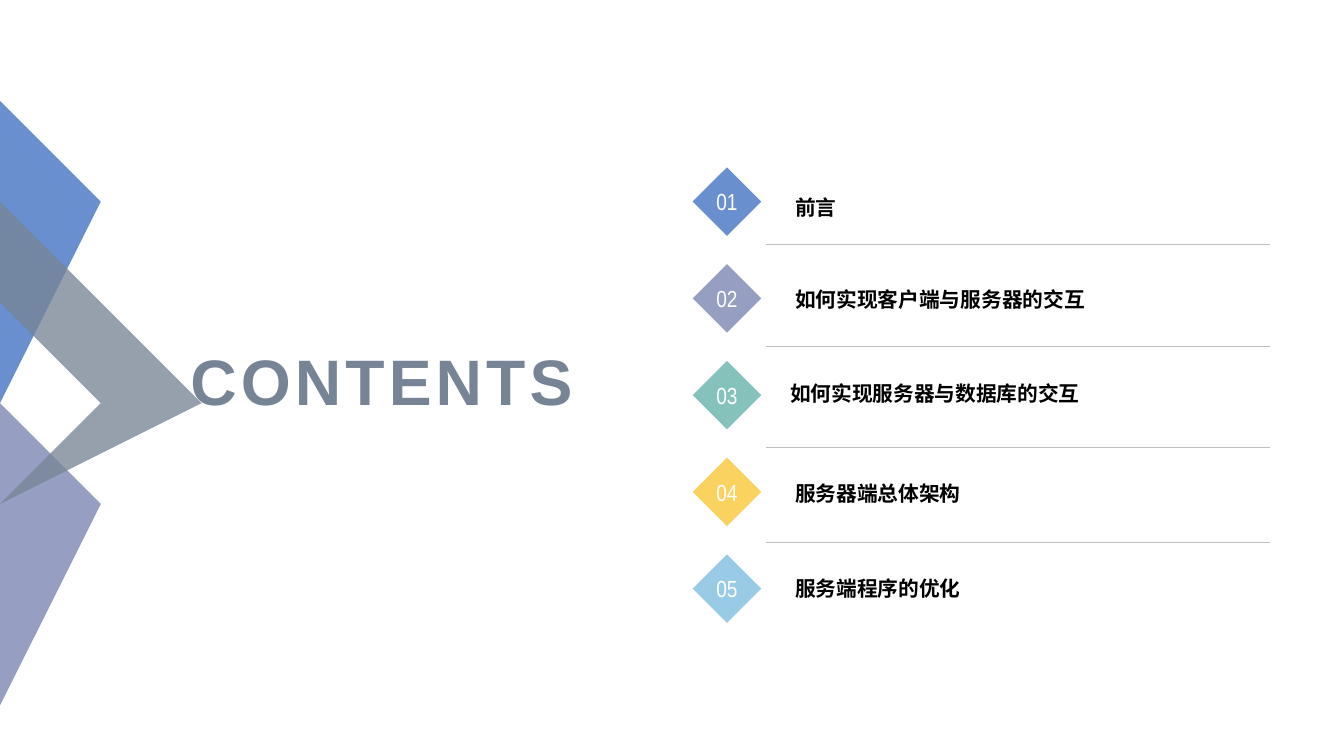
from lxml import etree
from pptx import Presentation
from pptx import util as u
from pptx.dml.color import RGBColor
from pptx.enum import shapes, text
from pptx.oxml.ns import qn

COLORS = {
    "blue": "698FCE", "violet": "969EC2", "teal": "85C2BC", "yellow": "FAD25F",
    "sky": "99CAE6", "slate": "778495", "rule": "BFBFBF",
    "white": "FFFFFF", "black": "000000",
}


class Deck:
    def __init__(self):
        self.prs = Presentation()
        self.prs.slide_width = u.Inches(13.33)
        self.prs.slide_height = u.Inches(7.5)
        self.s = self.prs.slides.add_slide(self.prs.slide_layouts[6])

    def color(self, name):
        return RGBColor.from_string(COLORS[name])

    def paint(self, sp, color, alpha=None):
        sp.shadow.inherit = False
        sp.fill.solid()
        sp.fill.fore_color.rgb = self.color(color)
        sp.line.fill.background()
        if alpha:
            clr = sp._element.spPr.find(qn("a:solidFill"))[0]
            etree.SubElement(clr, qn("a:alpha")).set("val", str(alpha * 1000))

    def add_text(self, sp, words, size, color, font, align, anchor, bold=False, spacing=None):
        tf = sp.text_frame
        tf.vertical_anchor = anchor
        p = tf.paragraphs[0]
        p.alignment = align
        r = p.add_run()
        r.text = words
        r.font.size = u.Pt(size)
        r.font.name = font
        r.font.bold = bold
        r.font.color.rgb = self.color(color)
        if spacing:
            r._r.get_or_add_rPr().set("spc", str(spacing * 100))
        return tf

    def polygon(self, points, color, alpha=None):
        fb = self.s.shapes.build_freeform(*points[0], scale=float(u.Inches(1)))
        fb.add_line_segments(points[1:], close=True)
        self.paint(fb.convert_to_shape(), color, alpha)

    def diamond(self, x, y, size, color, number):
        sp = self.s.shapes.add_shape(
            shapes.MSO_SHAPE.DIAMOND, u.Inches(x), u.Inches(y), u.Inches(size), u.Inches(size))
        self.paint(sp, color)
        tf = self.add_text(sp, number, 16.6, "white", "Arial Narrow",
                           text.PP_ALIGN.CENTER, text.MSO_ANCHOR.MIDDLE)
        tf.word_wrap = False

    def label(self, x, y, w, h, words, size, color, align, anchor, spacing=None):
        sp = self.s.shapes.add_textbox(u.Inches(x), u.Inches(y), u.Inches(w), u.Inches(h))
        tf = self.add_text(sp, words, size, color, "Arial", align, anchor, True, spacing)
        tf.word_wrap = True

    def rule(self, x1, x2, y):
        c = self.s.shapes.add_connector(
            shapes.MSO_CONNECTOR.STRAIGHT, u.Inches(x1), u.Inches(y), u.Inches(x2), u.Inches(y))
        c.line.color.rgb = self.color("rule")
        c.line.width = u.Pt(0.25)
        etree.SubElement(c._element.spPr, qn("a:effectLst"))


def main():
    deck = Deck()
    for top, color in ((3.92, "violet"), (0.73, "blue")):
        deck.polygon([(0, top), (1.44, top + 1.44), (0, top + 2.88)], color)
    deck.polygon([(1.71, 3.75), (0, 5.46), (0, 4.82), (1.07, 3.75), (0, 2.68), (0, 2.04)],
                 "slate", 77)
    deck.label(1.69, 3.26, 4.09, 1.01, "CONTENTS", 45.9, "slate",
               text.PP_ALIGN.RIGHT, text.MSO_ANCHOR.MIDDLE, 3)

    chapters = [
        ("前言", "blue", 7.79, 1.9),
        ("如何实现客户端与服务器的交互", "violet", 7.79, 2.81),
        ("如何实现服务器与数据库的交互", "teal", 7.74, 3.74),
        ("服务器端总体架构", "yellow", 7.79, 4.74),
        ("服务端程序的优化", "sky", 7.79, 5.68),
    ]
    for i, (title, color, x, y) in enumerate(chapters):
        deck.diamond(6.87, 1.66 + 0.96 * i, 0.68, color, f"{i + 1:02d}")
        deck.label(x, y, 4.33, 0.33, title, 14.8, "black",
                   text.PP_ALIGN.LEFT, text.MSO_ANCHOR.BOTTOM)
    for y in (2.42, 3.43, 4.44, 5.38):
        deck.rule(7.6, 12.6, y)

    deck.prs.save("out.pptx")


if __name__ == "__main__":
    main()
